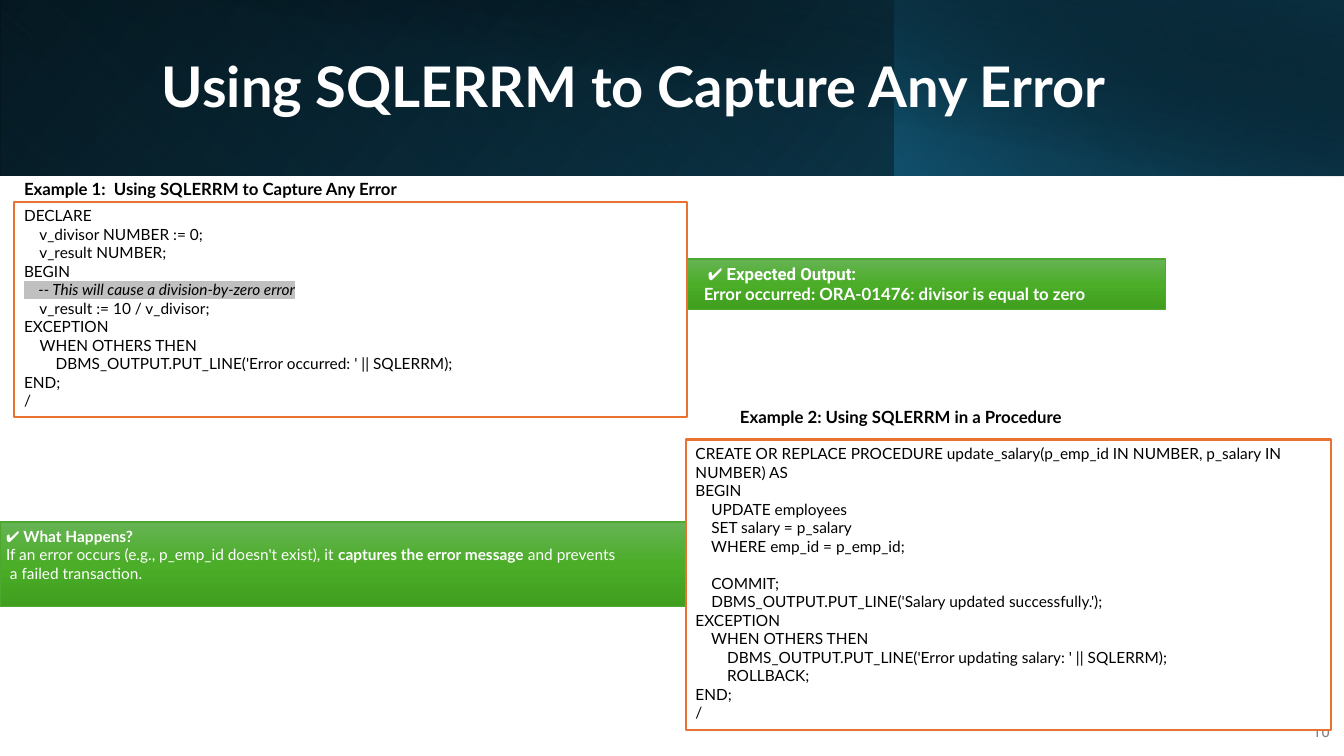
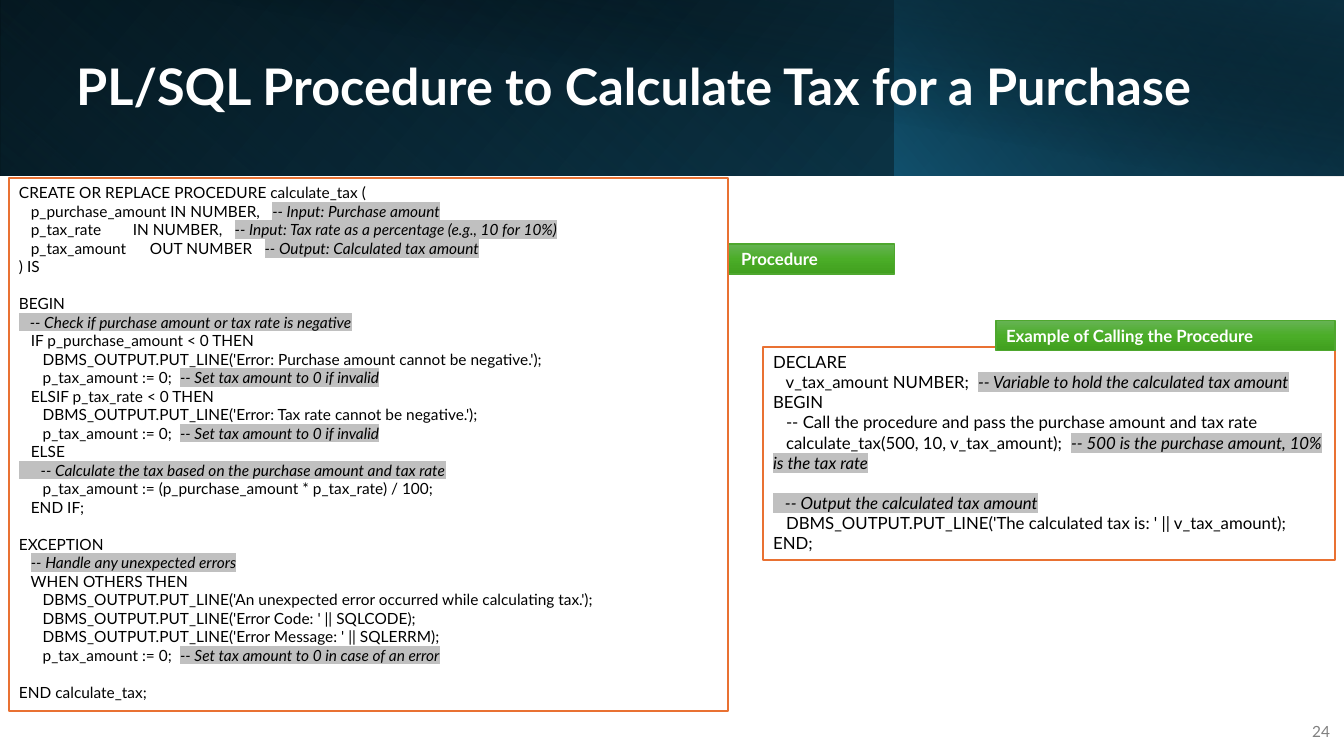
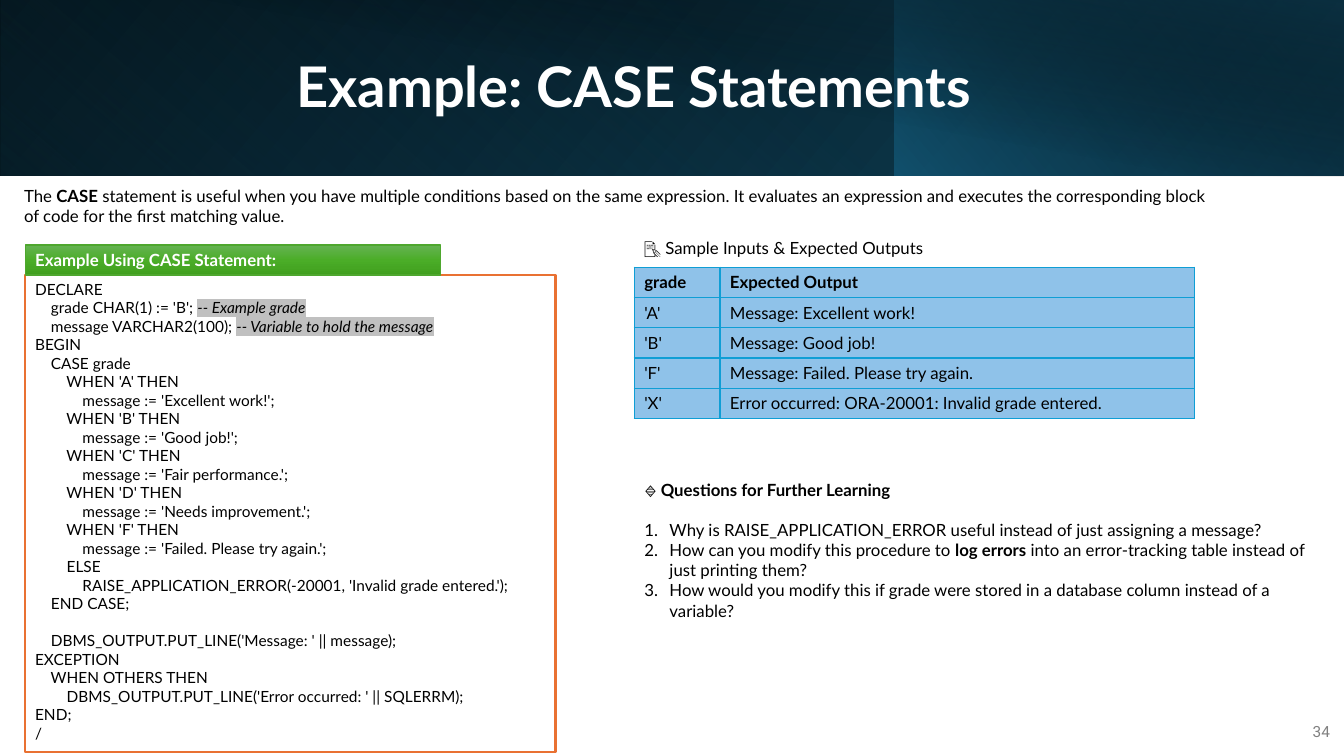
import pptx
import pptx.util
import pptx.dml.color
import pptx.enum.shapes
import pptx.enum.text
import pptx.oxml
import pptx.oxml.ns

Inches, Pt = pptx.util.Inches, pptx.util.Pt
qn = pptx.oxml.ns.qn
ANCHOR = pptx.enum.text.MSO_ANCHOR
ALIGN = pptx.enum.text.PP_ALIGN
RECT = pptx.enum.shapes.MSO_SHAPE.RECTANGLE

COLORS = {
    "white": "FFFFFF", "black": "000000", "page": "808080",
    "frame": "E97132", "comment": "C0C0C0", "label_line": "4EA72E",
    "cell": "8FC2E9", "cell_line": "0F9ED5",
}
LABEL_STOPS = [(0, "66B354", 100), (50, "4BAD28", 100), (100, "409F1E", 100)]

# Box, rotation, flipped, gradient stops (position, colour, opacity), angle
BANDS = [
    ((0, 0, 13.33, 1.74), 0, True, [(0, "000000", 100), (100, "104862", 100)], 140),
    ((0, 0, 8.88, 1.74), 180, True, [(20, "156082", 0), (100, "0B3041", 55)], 230),
    ((8.87, 0, 4.46, 1.74), 0, True, [(0, "156082", 66), (100, "000000", 30)], 220),
    ((0.5, 0, 12.83, 1.75), 0, False, [(50, "000000", 0), (99, "0B3041", 52)], 280),
]
TITLE_BOX = (0.25, 0.32, 12.07, 1.13)
PAGE_BOX = (12.8, 7.06, 0.49, 0.4)

# In code, ¦ starts a highlighted comment; in prose, ** toggles bold.
CAPTURE_CODE = [
    "DECLARE",
    "    v_divisor NUMBER := 0;",
    "    v_result NUMBER;",
    "BEGIN",
    "¦    -- This will cause a division-by-zero error",
    "    v_result := 10 / v_divisor;",
    "EXCEPTION",
    "    WHEN OTHERS THEN",
    "        DBMS_OUTPUT.PUT_LINE('Error occurred: ' || SQLERRM);",
    "END;",
    "/",
]
SALARY_CODE = [
    "CREATE OR REPLACE PROCEDURE update_salary(p_emp_id IN NUMBER, p_salary IN NUMBER) AS",
    "BEGIN",
    "    UPDATE employees",
    "    SET salary = p_salary",
    "    WHERE emp_id = p_emp_id;",
    "",
    "    COMMIT;",
    "    DBMS_OUTPUT.PUT_LINE('Salary updated successfully.');",
    "EXCEPTION",
    "    WHEN OTHERS THEN",
    "        DBMS_OUTPUT.PUT_LINE('Error updating salary: ' || SQLERRM);",
    "        ROLLBACK;",
    "END;",
    "/",
]
TAX_CODE = [
    "CREATE OR REPLACE PROCEDURE calculate_tax (",
    "   p_purchase_amount IN NUMBER,   ¦-- Input: Purchase amount",
    "   p_tax_rate        IN NUMBER,   ¦-- Input: Tax rate as a percentage (e.g., 10 for 10%)",
    "   p_tax_amount      OUT NUMBER   ¦-- Output: Calculated tax amount",
    ") IS",
    "",
    "BEGIN",
    "¦   -- Check if purchase amount or tax rate is negative",
    "   IF p_purchase_amount < 0 THEN",
    "      DBMS_OUTPUT.PUT_LINE('Error: Purchase amount cannot be negative.');",
    "      p_tax_amount := 0;  ¦-- Set tax amount to 0 if invalid",
    "   ELSIF p_tax_rate < 0 THEN",
    "      DBMS_OUTPUT.PUT_LINE('Error: Tax rate cannot be negative.');",
    "      p_tax_amount := 0;  ¦-- Set tax amount to 0 if invalid",
    "   ELSE",
    "¦      -- Calculate the tax based on the purchase amount and tax rate",
    "      p_tax_amount := (p_purchase_amount * p_tax_rate) / 100;",
    "   END IF;",
    "",
    "EXCEPTION",
    "   ¦-- Handle any unexpected errors",
    "   WHEN OTHERS THEN",
    "      DBMS_OUTPUT.PUT_LINE('An unexpected error occurred while calculating tax.');",
    "      DBMS_OUTPUT.PUT_LINE('Error Code: ' || SQLCODE);",
    "      DBMS_OUTPUT.PUT_LINE('Error Message: ' || SQLERRM);",
    "      p_tax_amount := 0;  ¦-- Set tax amount to 0 in case of an error",
    "",
    "END calculate_tax;",
]
TAX_CALL_CODE = [
    "DECLARE",
    "   v_tax_amount NUMBER;  ¦-- Variable to hold the calculated tax amount",
    "BEGIN",
    "   -- Call the procedure and pass the purchase amount and tax rate",
    "   calculate_tax(500, 10, v_tax_amount);  "
    "¦-- 500 is the purchase amount, 10% is the tax rate",
    "",
    "¦   -- Output the calculated tax amount",
    "   DBMS_OUTPUT.PUT_LINE('The calculated tax is: ' || v_tax_amount);",
    "END;",
]
CASE_CODE = [
    "DECLARE",
    "    grade CHAR(1) := 'B'; ¦-- Example grade",
    "    message VARCHAR2(100); ¦-- Variable to hold the message",
    "BEGIN",
    "    CASE grade",
    "        WHEN 'A' THEN",
    "            message := 'Excellent work!';",
    "        WHEN 'B' THEN",
    "            message := 'Good job!';",
    "        WHEN 'C' THEN",
    "            message := 'Fair performance.';",
    "        WHEN 'D' THEN",
    "            message := 'Needs improvement.';",
    "        WHEN 'F' THEN",
    "            message := 'Failed. Please try again.';",
    "        ELSE",
    "            RAISE_APPLICATION_ERROR(-20001, 'Invalid grade entered.');",
    "    END CASE;",
    "",
    "    DBMS_OUTPUT.PUT_LINE('Message: ' || message);",
    "EXCEPTION",
    "    WHEN OTHERS THEN",
    "        DBMS_OUTPUT.PUT_LINE('Error occurred: ' || SQLERRM);",
    "END;",
    "/",
]

GRADE_ROWS = [
    ("**grade**", "**Expected Output**"),
    ("'A'", "Message: Excellent work!"),
    ("'B'", "Message: Good job!"),
    ("'F'", "Message: Failed. Please try again."),
    ("'X'", "Error occurred: ORA-20001: Invalid grade entered."),
]
QUESTIONS_HEADING = "🔹 Questions for Further Learning"
QUESTIONS = [
    "Why is RAISE_APPLICATION_ERROR useful instead of just assigning a message?",
    "How can you modify this procedure to **log errors** into an error-tracking "
    "table instead of just printing them?",
    "How would you modify this if grade were stored in a database column instead of a variable?",
]


def place(sp, box):
    sp.left, sp.top, sp.width, sp.height = map(Inches, box)


def rgb(name):
    return pptx.dml.color.RGBColor.from_string(COLORS[name])


def add_run(p, text, size=12, color="black", font="Lato", bold=False, comment=False):
    r = p.add_run()
    r.text = text
    r.font.size, r.font.bold, r.font.italic = Pt(size), bold, comment
    r.font.color.rgb = rgb(color)
    r.font.name = font
    if comment:
        mark = pptx.oxml.parse_xml(
            f'<a:highlight {pptx.oxml.ns.nsdecls("a")}>'
            f'<a:srgbClr val="{COLORS["comment"]}"/></a:highlight>')
        r._r.rPr.find(qn("a:solidFill")).addnext(mark)


def add_prose(p, text, **style):
    for i, part in enumerate(text.split("**")):
        if part:
            add_run(p, part, bold=i % 2 == 1, **style)


def paragraphs(tf, items):
    """Yield one paragraph of the frame for each item."""
    for i, item in enumerate(items):
        yield (tf.add_paragraph() if i else tf.paragraphs[0]), item


def set_gradient(sp, stops, angle):
    gs = "".join(
        f'<a:gs pos="{pos * 1000}"><a:srgbClr val="{color}">'
        f'<a:alpha val="{alpha * 1000}"/></a:srgbClr></a:gs>'
        for pos, color, alpha in stops)
    grad = pptx.oxml.parse_xml(
        f'<a:gradFill {pptx.oxml.ns.nsdecls("a")} rotWithShape="1"><a:gsLst>{gs}</a:gsLst>'
        f'<a:lin ang="{angle * 60000}" scaled="0"/></a:gradFill>')
    sp._element.spPr.find(qn("a:prstGeom")).addnext(grad)


def add_rect(s, box):
    sp = s.shapes.add_shape(RECT, *map(Inches, box))
    sp.shadow.inherit = False
    tf = sp.text_frame
    tf.word_wrap, tf.vertical_anchor = True, ANCHOR.TOP
    return sp


def add_text(s, box, text, anchor=ANCHOR.TOP, **style):
    tf = s.shapes.add_textbox(*map(Inches, box)).text_frame
    tf.word_wrap, tf.vertical_anchor = True, anchor
    add_prose(tf.paragraphs[0], text, **style)
    return tf.paragraphs[0]


def add_label(s, box, lines, size=12, inset=0.1):
    """Green box; each line is prose or a (prose, font) pair."""
    sp = add_rect(s, box)
    set_gradient(sp, LABEL_STOPS, 90)
    sp.line.color.rgb, sp.line.width = rgb("label_line"), Pt(1)
    sp.text_frame.margin_left = Inches(inset)
    for p, line in paragraphs(sp.text_frame, lines):
        text, font = line if isinstance(line, tuple) else (line, "Lato")
        p.alignment = ALIGN.LEFT
        add_prose(p, text, size=size, color="white", font=font)


def add_code(s, box, code, size=11):
    sp = add_rect(s, box)
    sp.fill.solid()
    sp.fill.fore_color.rgb = rgb("white")
    sp.line.color.rgb, sp.line.width = rgb("frame"), Pt(1.5)
    for p, line in paragraphs(sp.text_frame, code):
        p.alignment = ALIGN.LEFT
        if not line:
            # An empty line takes its height from the end-of-paragraph size.
            end = pptx.oxml.parse_xml(
                f'<a:endParaRPr {pptx.oxml.ns.nsdecls("a")} sz="{size * 100}">'
                '<a:latin typeface="Lato"/></a:endParaRPr>')
            p._p.append(end)
        plain, _, comment = line.partition("¦")
        for text, is_comment in ((plain, False), (comment, True)):
            if text:
                add_run(p, text, size=size, comment=is_comment)


def add_grade_table(s, left, top, widths, row_height):
    t = s.shapes.add_table(len(GRADE_ROWS), len(widths), Inches(left), Inches(top),
                           Inches(sum(widths)), Inches(row_height * len(GRADE_ROWS))).table
    t.first_row = t.horz_banding = False
    for column, width in zip(t.columns, widths):
        column.width = Inches(width)
    for i, row in enumerate(GRADE_ROWS):
        for j, text in enumerate(row):
            cell = t.cell(i, j)
            cell.vertical_anchor = ANCHOR.MIDDLE
            cell.fill.solid()
            cell.fill.fore_color.rgb = rgb("cell")
            add_prose(cell.text_frame.paragraphs[0], text)
            for k, side in enumerate("LRTB"):
                cell._tc.tcPr.insert(k, pptx.oxml.parse_xml(
                    f'<a:ln{side} {pptx.oxml.ns.nsdecls("a")} w="{int(Pt(1))}"><a:solidFill>'
                    f'<a:srgbClr val="{COLORS["cell_line"]}"/></a:solidFill></a:ln{side}>'))


def fill_questions(body, box):
    place(body, box)
    tf = body.text_frame
    tf.auto_size = pptx.enum.text.MSO_AUTO_SIZE.NONE
    tf.vertical_anchor = ANCHOR.MIDDLE
    lines = [f"**{QUESTIONS_HEADING}**"] + QUESTIONS
    for i, (p, text) in enumerate(paragraphs(tf, lines)):
        indent = int(Inches(0.25)) if i else 0
        pPr = p._p.get_or_add_pPr()
        pPr.set("marL", str(indent))
        pPr.set("indent", str(-indent))
        bullet = 'buAutoNum {} type="arabicPeriod"' if i else "buNone {}"
        pPr.append(pptx.oxml.parse_xml(
            f'<a:{bullet.format(pptx.oxml.ns.nsdecls("a"))}/>'))
        p.space_before = Pt(0)
        p.space_after = Pt(0 if i else 14.4)
        add_prose(p, text)


def new_slide(prs, layout, title, size, page, page_font="Roboto"):
    """Add a slide with the header bands, the title and the page number."""
    s = prs.slides.add_slide(prs.slide_layouts[layout])
    for box, rotation, flipped, stops, angle in BANDS:
        sp = add_rect(s, box)
        sp.rotation = rotation
        if flipped:
            sp._element.spPr.find(qn("a:xfrm")).set("flipH", "1")
        set_gradient(sp, stops, angle)
        sp.line.fill.background()
    heading = s.shapes.title
    s.shapes._spTree.append(heading._element)
    place(heading, TITLE_BOX)
    tf = heading.text_frame
    tf.auto_size = pptx.enum.text.MSO_AUTO_SIZE.NONE
    tf.word_wrap, tf.vertical_anchor = True, ANCHOR.MIDDLE
    p = tf.paragraphs[0]
    p.alignment, p.line_spacing = ALIGN.CENTER, 0.9
    add_run(p, title, size=size, color="white", bold=True)
    p = add_text(s, PAGE_BOX, page, ANCHOR.MIDDLE, size=11, color="page", font=page_font)
    p.alignment, p.space_after = ALIGN.RIGHT, Pt(6)
    return s


def main():
    prs = pptx.Presentation()
    prs.slide_width, prs.slide_height = Inches(13.33), Inches(7.5)

    s = new_slide(prs, 5, "Using SQLERRM to Capture Any Error", 40, "10")
    add_label(s, (5.88, 2.57, 5.68, 0.5), [
        (" ✔ **Expected Output:**", "Roboto"),
        "**Error occurred: ORA-01476: divisor is equal to zero**"], inset=1.1)
    add_text(s, (0.14, 1.72, 5.13, 0.3), "**Example 1:  Using SQLERRM to Capture Any Error**")
    add_code(s, (0.14, 2, 6.67, 2.14), CAPTURE_CODE)
    add_text(s, (7.24, 3.99, 3.86, 0.3), "**Example 2: Using SQLERRM in a Procedure**",
             ANCHOR.MIDDLE)
    add_label(s, (0, 5.18, 7.25, 0.84), [
        "✔ **What Happens?**",
        "If an error occurs (e.g., p_emp_id doesn't exist), it "
        "**captures the error message** and prevents",
        " a failed transaction."], size=11, inset=0.06)
    add_code(s, (6.8, 4.36, 6.4, 2.88), SALARY_CODE)

    s = new_slide(prs, 5, "PL/SQL Procedure to Calculate Tax for a Purchase", 36, "24", "Lato")
    add_label(s, (6.97, 2.42, 1.9, 0.3), ["**Procedure**"], inset=0.38)
    add_code(s, (0.09, 1.77, 7.13, 5.28), TAX_CODE)
    add_code(s, (7.57, 3.44, 5.67, 2.12), TAX_CALL_CODE, size=12)
    add_label(s, (9.88, 3.18, 3.36, 0.3), ["**Example of Calling the Procedure**"])

    s = new_slide(prs, 1, "Example: CASE Statements", 40, "34")
    add_code(s, (0.25, 2.73, 5.26, 4.73), CASE_CODE)
    add_label(s, (0.25, 2.43, 4.12, 0.3), ["**Example Using CASE Statement:**"])
    add_text(s, (0.14, 1.79, 11.96, 0.5),
             "The **CASE** statement is useful when you have multiple conditions based on the "
             "same expression. It evaluates an expression and executes the corresponding block "
             "of code for the first matching value.", ANCHOR.MIDDLE)
    add_grade_table(s, 6.29, 2.65, (0.85, 4.71), 0.3)
    add_text(s, (6.29, 2.31, 4.12, 0.3), "📝 Sample Inputs & Expected Outputs")
    fill_questions(s.placeholders[1], (6.29, 4.7, 6.79, 1.51))

    prs.save("out.pptx")


if __name__ == "__main__":
    main()
